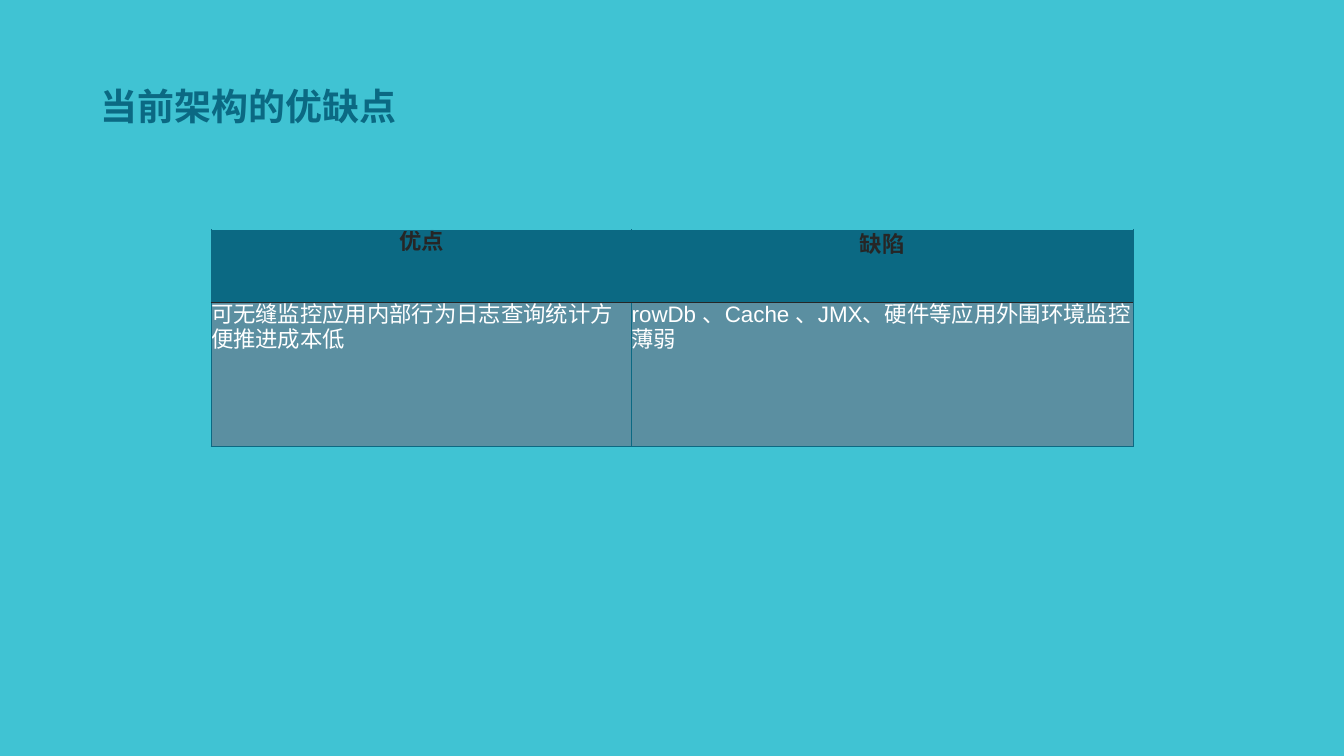
import pptx
import pptx.util
import pptx.dml.color
import pptx.enum.text
import pptx.oxml
import pptx.oxml.ns
from dataclasses import dataclass

ALIGN = pptx.enum.text.PP_ALIGN
ANCHOR = pptx.enum.text.MSO_ANCHOR


@dataclass(frozen=True)
class Theme:
    font: str = "Arial"
    back: str = "40C3D3"
    deep: str = "0B6983"
    pale: str = "5B8FA1"
    dark: str = "262626"
    light: str = "FFFFFF"
    head: float = 26.4
    body: float = 16


THEME = Theme()
WIDE = pptx.util.Inches(13.33)
HIGH = pptx.util.Inches(7.5)


def rgb(code):
    return pptx.dml.color.RGBColor.from_string(code)


def across(share):
    return round(WIDE * share)


def down(share):
    return round(HIGH * share)


def write(frame, text, size, color, bold, align, space=1.0):
    frame.margin_left = frame.margin_right = 0
    frame.margin_top = frame.margin_bottom = 0
    frame.text = text
    para = frame.paragraphs[0]
    para.alignment = align
    para.line_spacing = space
    for run in para.runs:
        font = run.font
        font.name, font.size, font.bold = THEME.font, pptx.util.Pt(size), bold
        font.color.rgb = rgb(color)
        east = pptx.oxml.parse_xml(
            f'<a:ea {pptx.oxml.ns.nsdecls("a")} typeface="{THEME.font}"/>')
        font._element.find(pptx.oxml.ns.qn("a:latin")).addnext(east)


def edge(cell, **sides):
    """Draw cell borders, each side given as (color, points)."""
    props = cell._tc.get_or_add_tcPr()
    order = [side for side in ("L", "R", "T", "B") if side in sides]
    for spot, side in enumerate(order):
        color, width = sides[side]
        line = pptx.oxml.parse_xml(
            f'<a:ln{side} {pptx.oxml.ns.nsdecls("a")} w="{pptx.util.Pt(width)}">'
            f'<a:solidFill><a:srgbClr val="{color}"/></a:solidFill></a:ln{side}>')
        props.insert(spot, line)


def title(slide, text):
    shape = slide.shapes.title
    shape.left, shape.top = across(0.05), down(0.06)
    shape.width, shape.height = across(0.27), down(0.116)
    frame = shape.text_frame
    frame.word_wrap = True
    frame.auto_size = pptx.enum.text.MSO_AUTO_SIZE.NONE
    frame.vertical_anchor = ANCHOR.BOTTOM
    write(frame, text, THEME.head, THEME.deep, True, ALIGN.CENTER, 1.3)
    frame.margin_bottom = pptx.util.Inches(0.05)


def table(slide, heads, items, widths, heights):
    grid = slide.shapes.add_table(
        2, len(heads), across(0.157), down(0.304),
        across(sum(widths)), down(sum(heights))).table
    for col, width in zip(grid.columns, widths):
        col.width = across(width)
    for row, height in zip(grid.rows, heights):
        row.height = down(height)
    thin, rule = (THEME.deep, 0.5), (THEME.dark, 1)
    for at, ((head, space), item) in enumerate(zip(heads, items)):
        top, low = grid.cell(0, at), grid.cell(1, at)
        write(top.text_frame, head, THEME.body, THEME.dark, True,
              ALIGN.CENTER, space)
        write(low.text_frame, item, THEME.body, THEME.light, False, ALIGN.LEFT)
        for cell, fill in ((top, THEME.deep), (low, THEME.pale)):
            cell.margin_left = cell.margin_right = 0
            cell.margin_top = cell.margin_bottom = 0
            cell.vertical_anchor = ANCHOR.TOP
            cell.fill.solid()
            cell.fill.fore_color.rgb = rgb(fill)
        edge(top, L=thin, R=thin, T=thin, B=rule)
        edge(low, L=thin, R=thin, T=rule, B=thin)


def main():
    deck = pptx.Presentation()
    deck.slide_width, deck.slide_height = WIDE, HIGH
    slide = deck.slides.add_slide(deck.slide_layouts[5])
    slide.background.fill.solid()
    slide.background.fill.fore_color.rgb = rgb(THEME.back)
    title(slide, "当前架构的优缺点")
    table(slide, [("优点", 1.0), ("缺陷", 1.1)],
          ["可无缝监控应用内部行为日志查询统计方便推进成本低",
           "rowDb 、Cache 、JMX、硬件等应用外围环境监控薄弱"],
          widths=(0.313, 0.373), heights=(0.096, 0.191))
    deck.save("out.pptx")


if __name__ == "__main__":
    main()
